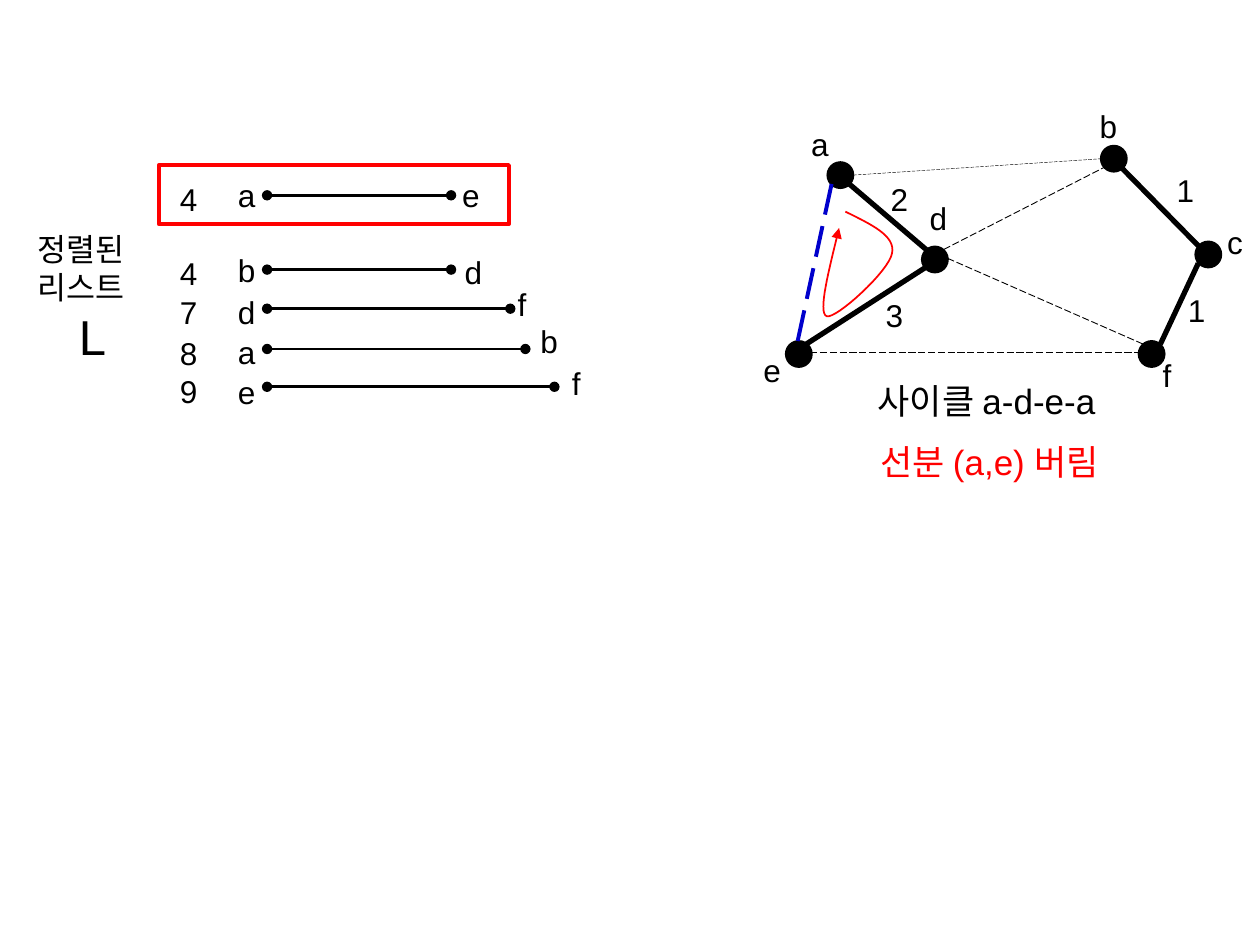
from lxml.etree import SubElement
from pptx import Presentation
from pptx.dml.color import RGBColor
from pptx.enum.dml import MSO_LINE_DASH_STYLE as Dash
from pptx.enum.shapes import MSO_CONNECTOR, MSO_SHAPE
from pptx.enum.text import MSO_AUTO_SIZE, PP_ALIGN
from pptx.oxml.ns import qn
from pptx.util import Inches, Pt

BLACK = RGBColor(0, 0, 0)
BLUE = RGBColor(0, 0, 0xCC)
RED = RGBColor(0xFF, 0, 0)
FONT = "Arial"
NODE_SIZE = 0.2
LABEL_WIDTH, LABEL_HEIGHT = 0.34, 0.4
LIST_WEIGHT_LEFT, LIST_START_LEFT, LIST_LINE_LEFT = 1.33, 1.79, 2.12
CURVE_STEPS = 16

NODES = [
    ("a", (6.57, 1.29), (6.34, 0.94)),
    ("b", (8.74, 1.16), (8.63, 0.8)),
    ("d", (7.32, 1.96), (7.28, 1.53)),
    ("e", (6.24, 2.71), (5.96, 2.74)),
    ("c", (9.49, 1.92), (9.64, 1.72)),
    ("f", (9.04, 2.71), (9.13, 2.78)),
]
TREE_EDGES = [
    ((6.74, 1.46), (7.35, 1.98), "2", (6.97, 1.38)),
    ((7.35, 2.12), (6.4, 2.73), "3", (6.93, 2.3)),
    ((9.51, 1.95), (8.9, 1.33), "1", (9.24, 1.31)),
    ((9.21, 2.73), (9.51, 2.09), "1", (9.33, 2.26)),
]
DASHED_EDGES = [
    ((6.6, 1.46), (6.33, 2.71), BLUE, 2.25),
    ((7.52, 2.05), (9.07, 2.73), BLACK, 0.5),
    ((6.43, 2.8), (9.04, 2.8), BLACK, 0.5),
    ((6.77, 1.39), (8.74, 1.26), BLACK, 0.25),
    ((7.49, 1.98), (8.76, 1.33), BLACK, 0.5),
]
SORTED_EDGES = [
    ("4", "a", 1.35, 1.55, 3.58, "e", (3.57, 1.35)),
    ("4", "b", 1.94, 2.14, 3.58, "d", (3.59, 1.96)),
    ("7", "d", 2.28, 2.45, 4.05, "f", (4.01, 2.21)),
    ("8", "a", 2.59, 2.77, 4.17, "b", (4.19, 2.51)),
    ("9", "e", 2.91, 3.07, 4.4, "f", (4.44, 2.84)),
]
CYCLE_START = (6.71, 1.68)
CYCLE_CURVES = [
    ((6.91, 1.78), (7.11, 1.87), (7.08, 2.01)),
    ((7.06, 2.15), (6.63, 2.54), (6.56, 2.51)),
    ((6.49, 2.48), (6.58, 2.14), (6.66, 1.81)),
]
CAPTIONS = [
    ([("정렬된 리스트", 18, PP_ALIGN.LEFT), ("L", 28, PP_ALIGN.CENTER)], (0.2, 1.78, 1.07, 1.18), BLACK),
    ([("사이클 a-d-e-a", 20, PP_ALIGN.CENTER)], (6.67, 2.96, 2.32, 0.44), BLACK),
    ([("선분 (a,e) 버림", 20, PP_ALIGN.LEFT)], (6.89, 3.45, 2.1, 0.44), RED),
]


def add_text(slide, lines, box, color=BLACK, wrap=True):
    text_frame = slide.shapes.add_textbox(*map(Inches, box)).text_frame
    text_frame.word_wrap = wrap
    text_frame.auto_size = MSO_AUTO_SIZE.SHAPE_TO_FIT_TEXT
    text_frame.text = "\n".join(text for text, _, _ in lines)
    for paragraph, (_, size, alignment) in zip(text_frame.paragraphs, lines):
        paragraph.alignment = alignment
        font = paragraph.runs[0].font
        font.name, font.size, font.color.rgb = FONT, Pt(size), color


def add_label(slide, text, position):
    add_text(slide, [(text, 18, PP_ALIGN.LEFT)], (*position, LABEL_WIDTH, LABEL_HEIGHT), wrap=False)


def style_line(shape, color, width):
    shape.line.color.rgb = color
    shape.line.width = Pt(width)


def add_line_end(shape, end, kind):
    SubElement(shape.line._get_or_add_ln(), qn(f"a:{end}"), type=kind)


def add_edge(slide, start, end, color, width, dash=None):
    edge = slide.shapes.add_connector(MSO_CONNECTOR.STRAIGHT, *map(Inches, start + end))
    SubElement(edge._element.spPr, qn("a:effectLst"))
    style_line(edge, color, width)
    if dash:
        edge.line.dash_style = dash
    return edge


def curve_points(start, curves):
    for first, second, end in curves:
        for step in range(1, CURVE_STEPS + 1):
            t = step / CURVE_STEPS
            u = 1 - t
            yield tuple(
                Inches(u**3 * p + 3 * u * u * t * q + 3 * u * t * t * r + t**3 * s)
                for p, q, r, s in zip(start, first, second, end)
            )
        start = end


def add_graph(slide):
    for name, position, label_position in NODES:
        node = slide.shapes.add_shape(
            MSO_SHAPE.OVAL, *map(Inches, (*position, NODE_SIZE, NODE_SIZE)))
        node.shadow.inherit = False
        node.fill.solid()
        node.fill.fore_color.rgb = BLACK
        style_line(node, BLACK, 1.5)
        add_label(slide, name, label_position)
    for start, end, weight, label_position in TREE_EDGES:
        add_edge(slide, start, end, BLACK, 3)
        add_label(slide, weight, label_position)
    for start, end, color, width in DASHED_EDGES:
        add_edge(slide, start, end, color, width, Dash.LONG_DASH)


def add_sorted_list(slide):
    for weight, start, start_top, line_top, line_right, end, end_position in SORTED_EDGES:
        add_label(slide, weight, (LIST_WEIGHT_LEFT, line_top - 0.17))
        add_label(slide, start, (LIST_START_LEFT, start_top))
        add_label(slide, end, end_position)
        edge = add_edge(slide, (line_right, line_top), (LIST_LINE_LEFT, line_top), BLACK, 1.5)
        for line_end in ("headEnd", "tailEnd"):
            add_line_end(edge, line_end, "oval")
    frame = slide.shapes.add_shape(MSO_SHAPE.RECTANGLE, *map(Inches, (1.26, 1.31, 2.78, 0.47)))
    frame.shadow.inherit = False
    frame.fill.background()
    style_line(frame, RED, 2)


def add_cycle_arrow(slide):
    builder = slide.shapes.build_freeform(*map(Inches, CYCLE_START))
    builder.add_line_segments(list(curve_points(CYCLE_START, CYCLE_CURVES)), close=False)
    arrow = builder.convert_to_shape()
    arrow.shadow.inherit = False
    arrow.fill.background()
    style_line(arrow, RED, 1)
    add_line_end(arrow, "tailEnd", "triangle")


def main():
    presentation = Presentation()
    presentation.slide_width, presentation.slide_height = Inches(10), Inches(7.5)
    slide = presentation.slides.add_slide(presentation.slide_layouts[6])
    add_graph(slide)
    add_sorted_list(slide)
    add_cycle_arrow(slide)
    for lines, box, color in CAPTIONS:
        add_text(slide, lines, box, color)
    presentation.save("out.pptx")


if __name__ == "__main__":
    main()
